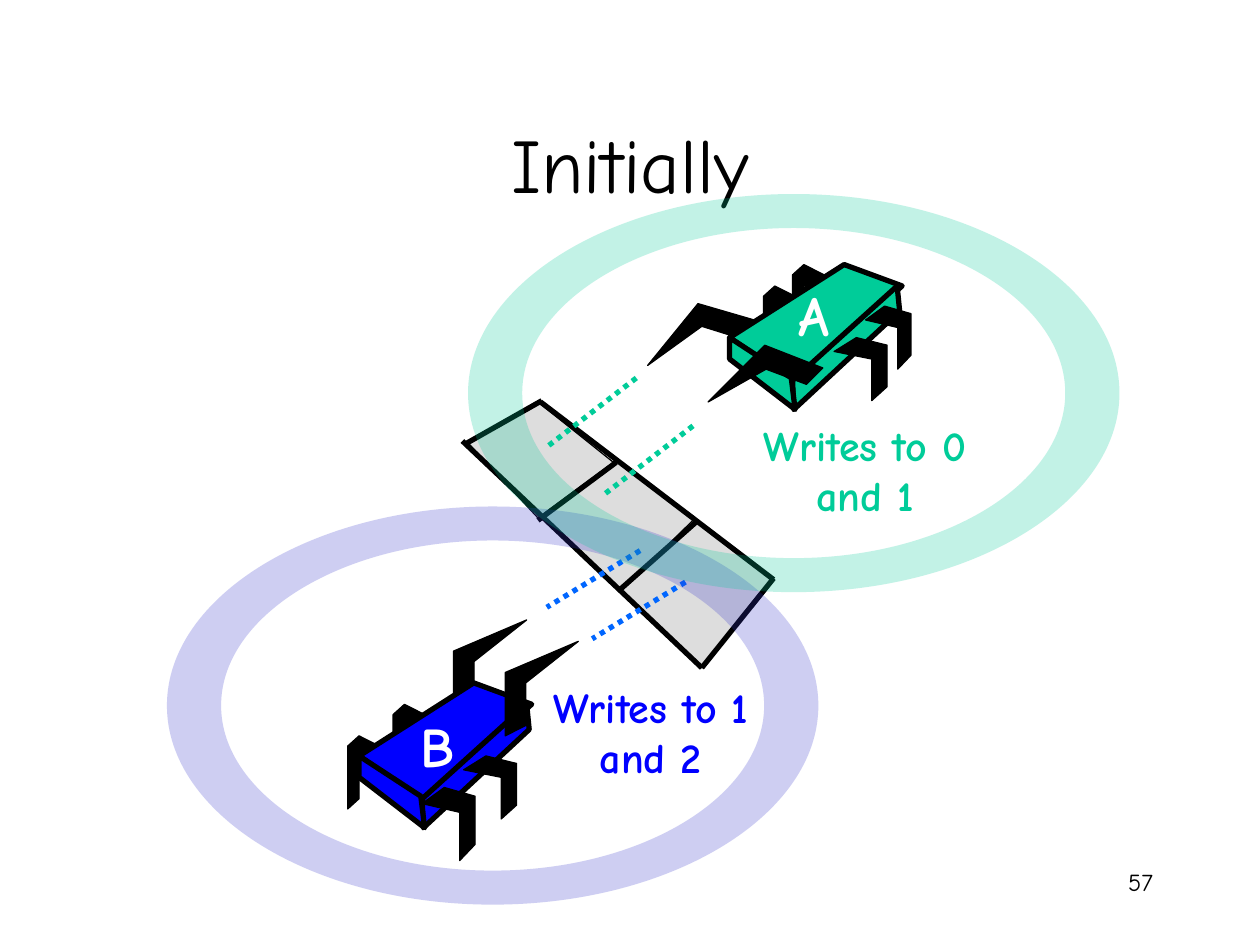
from lxml import etree
from pptx import Presentation
from pptx.dml.color import RGBColor
from pptx.enum.dml import MSO_LINE
from pptx.enum.shapes import MSO_CONNECTOR
from pptx.enum.text import MSO_ANCHOR, MSO_AUTO_SIZE, PP_ALIGN
from pptx.oxml.ns import qn
from pptx.util import Inches, Pt

STRAIGHT = MSO_CONNECTOR.STRAIGHT
DOTTED = MSO_LINE.ROUND_DOT
MIDDLE = MSO_ANCHOR.MIDDLE
TOP = MSO_ANCHOR.TOP
GROW = MSO_AUTO_SIZE.SHAPE_TO_FIT_TEXT
CENTER, RIGHT = PP_ALIGN.CENTER, PP_ALIGN.RIGHT

FONT = "Comic Neue"
BLACK, WHITE, GREY = "000000", "FFFFFF", "DDDDDD"
GREEN, BLUE, SKY, INDIGO = "00CC99", "0000FF", "0066FF", "3333CC"
ARC_PULL = 0.55

CELLS = [
    [(5.51, 4.11), (4.9, 4.68), (5.57, 5.3), (6.14, 4.6)],
    [(4.29, 4.08), (4.92, 4.7), (5.52, 4.11), (4.89, 3.65)],
    [(4.27, 3.19), (3.71, 3.51), (4.27, 4.11), (4.87, 3.67)],
]
CELL_EDGES = [
    ((3.67, 3.5), (5.57, 5.3)),
    ((4.29, 3.19), (6.14, 4.6)),
    ((3.7, 3.52), (4.3, 3.18)),
    ((5.57, 5.3), (6.14, 4.59)),
    ((4.92, 4.68), (5.54, 4.13)),
    ((4.27, 4.13), (4.89, 3.67)),
]
BODY_FACES = [
    [(0.91, 0), (0, 0.58), (0.51, 0.93), (1.37, 0.17)],
    [(1.33, 0.17), (0.5, 0.92), (0.51, 1.15), (1.35, 0.37)],
    [(0, 0.58), (0, 0.75), (0.52, 1.15), (0.49, 0.9)],
]
REAR_LEG = [(1, 0.14), (0.36, 0), (0, 0.14), (0, 1), (0.36, 0.86), (0.36, 0.28), (1, 0.43)]
SIDE_LEG = [(0.42, 0), (0, 0.22), (0.71, 0.34), (0.71, 1), (1, 0.78), (1, 0.12)]
CLAW = [(0, 1), (0.28, 0.89), (0.28, 0.44), (1, 0), (0, 0.33)]
LEFT_CLAW_A = [(6.02, 2.55), (5.89, 2.69), (5.57, 2.59), (5.14, 2.9), (5.54, 2.41)]
RIGHT_CLAW_A = [(6.53, 2.92), (6.4, 3.05), (6.08, 2.93), (5.62, 3.19), (6.07, 2.74)]


def rgb(value):
    return RGBColor.from_string(value)


def placed(outline, left, top, width=1, height=1):
    return [(left + x * width, top + y * height) for x, y in outline]


def add_outline(shapes, contours, fill, line_width=0.75):
    emu = [[(Inches(x), Inches(y)) for x, y in contour] for contour in contours]
    builder = shapes.build_freeform(*emu[0][0], scale=1.0)
    builder.add_line_segments(emu[0][1:], close=True)
    for contour in emu[1:]:
        builder.move_to(*contour[0])
        builder.add_line_segments(contour[1:], close=True)
    outline = builder.convert_to_shape()
    outline.shadow.inherit = False
    outline.fill.solid()
    outline.fill.fore_color.rgb = rgb(fill)
    if line_width:
        outline.line.color.rgb = rgb(BLACK)
        outline.line.width = Pt(line_width)
    else:
        outline.line.fill.background()
    return outline


def round_corners(outline):
    segments = next(outline._element.iter(qn("a:moveTo"))).getparent()
    x = y = 0
    leaves_side = True
    for segment in list(segments):
        if segment.tag == qn("a:close"):
            continue
        point = segment[0]
        end_x, end_y = int(point.get("x")), int(point.get("y"))
        if segment.tag == qn("a:moveTo"):
            leaves_side = True
        else:
            pull_x, pull_y = ARC_PULL * (end_x - x), ARC_PULL * (end_y - y)
            if leaves_side:
                controls = [(x, y + pull_y), (end_x - pull_x, end_y)]
            else:
                controls = [(x + pull_x, y), (end_x, end_y - pull_y)]
            curve = etree.Element(qn("a:cubicBezTo"))
            for control_x, control_y in controls:
                control = etree.SubElement(curve, qn("a:pt"))
                control.set("x", str(round(control_x)))
                control.set("y", str(round(control_y)))
            curve.append(point)
            segments.replace(segment, curve)
            leaves_side = not leaves_side
        x, y = end_x, end_y


def add_ring(shapes, center_x, center_y, color):
    def corners(radius_x, radius_y):
        directions = [(-1, 0), (0, -1), (1, 0), (0, 1), (-1, 0)]
        return placed(directions, center_x, center_y, radius_x, radius_y)

    ring = add_outline(shapes, [corners(2.585, 1.58), corners(2.155, -1.31)], color, line_width=0)
    round_corners(ring)
    tint = next(ring._element.spPr.iter(qn("a:srgbClr")))
    etree.SubElement(tint, qn("a:alpha")).set("val", "24000")


def add_line(shapes, start, end, color, dotted=False):
    line = shapes.add_connector(STRAIGHT, *map(Inches, start + end))
    etree.SubElement(line._element.spPr, qn("a:effectLst"))
    line.line.color.rgb = rgb(color)
    line.line.width = Pt(3)
    if dotted:
        line.line.dash_style = DOTTED


def write(frame, text, size, color, align, bold=False):
    paragraph = frame.paragraphs[0]
    paragraph.alignment = align
    run = paragraph.add_run()
    run.text = text
    run.font.name = FONT
    run.font.size = Pt(size)
    run.font.bold = bold
    run.font.color.rgb = rgb(color)


def add_label(shapes, box, text, size, color, align, bold=True, wrap=True):
    frame = shapes.add_textbox(*map(Inches, box)).text_frame
    frame.word_wrap = wrap
    frame.vertical_anchor = TOP
    if bold:
        frame.auto_size = GROW
    write(frame, text, size, color, align, bold)


def add_title(shapes, text):
    title = shapes.title
    title.left, title.top, title.width, title.height = map(Inches, (0.75, 0.67, 8.5, 1.25))
    title.text_frame.vertical_anchor = MIDDLE
    write(title.text_frame, text, 44, BLACK, CENTER)


def add_robot(shapes, left, top, color, left_claw, rear_legs, side_legs, right_claw):
    robot = shapes.add_group_shape().shapes
    add_outline(robot, [left_claw], BLACK)
    for place in rear_legs:
        add_outline(robot, [placed(REAR_LEG, *place, 0.25, 0.58)], BLACK)
    for face in BODY_FACES:
        add_outline(robot, [placed(face, left, top)], color, line_width=3)
    for place in side_legs:
        add_outline(robot, [placed(SIDE_LEG, *place)], BLACK)
    add_outline(robot, [right_claw], BLACK)


def main():
    deck = Presentation()
    deck.slide_width, deck.slide_height = Inches(10), Inches(7.5)
    shapes = deck.slides.add_slide(deck.slide_layouts[5]).shapes

    add_label(shapes, (7.17, 6.83, 2.08, 0.5), "57", 14, BLACK, RIGHT, bold=False)
    for cell in CELLS:
        add_outline(shapes, [cell], GREY)
    add_title(shapes, "Initially")

    add_robot(shapes, 2.85, 5.42, BLUE,
              placed(CLAW, 3.6, 4.92, 0.58, 0.75),
              [(2.76, 5.84), (3.12, 5.59)],
              [(3.35, 6.25, 0.42, 0.58), (3.68, 6, 0.42, 0.5)],
              placed(CLAW, 4.01, 5.09, 0.58, 0.75))
    add_robot(shapes, 5.79, 2.1, GREEN,
              LEFT_CLAW_A,
              [(6.29, 2.1), (6.06, 2.27)],
              [(6.87, 2.43, 0.36, 0.5), (6.62, 2.68, 0.42, 0.5)],
              RIGHT_CLAW_A)

    add_label(shapes, (5.94, 3.28, 1.85, 0.9), "Writes to 0 and 1", 24, GREEN, CENTER)
    add_label(shapes, (4.24, 5.36, 1.85, 0.9), "Writes to 1 and 2", 24, BLUE, CENTER)

    for start, end in CELL_EDGES:
        add_line(shapes, start, end, BLACK)
    for x, y in [(5.05, 3), (5.5, 3.38)]:
        add_line(shapes, (x, y), (x - 0.7, y + 0.54), GREEN, dotted=True)
    for x, y in [(5.08, 4.37), (5.44, 4.62)]:
        add_line(shapes, (x, y), (x - 0.74, y + 0.45), SKY, dotted=True)

    add_label(shapes, (6.15, 2.18, 0.53, 0.63), "A", 32, WHITE, RIGHT, wrap=False)
    add_label(shapes, (3.23, 5.6, 0.48, 0.63), "B", 32, WHITE, RIGHT, wrap=False)
    add_ring(shapes, 3.91, 5.6, INDIGO)
    add_ring(shapes, 6.3, 3.12, GREEN)
    deck.save("out.pptx")


if __name__ == "__main__":
    main()
